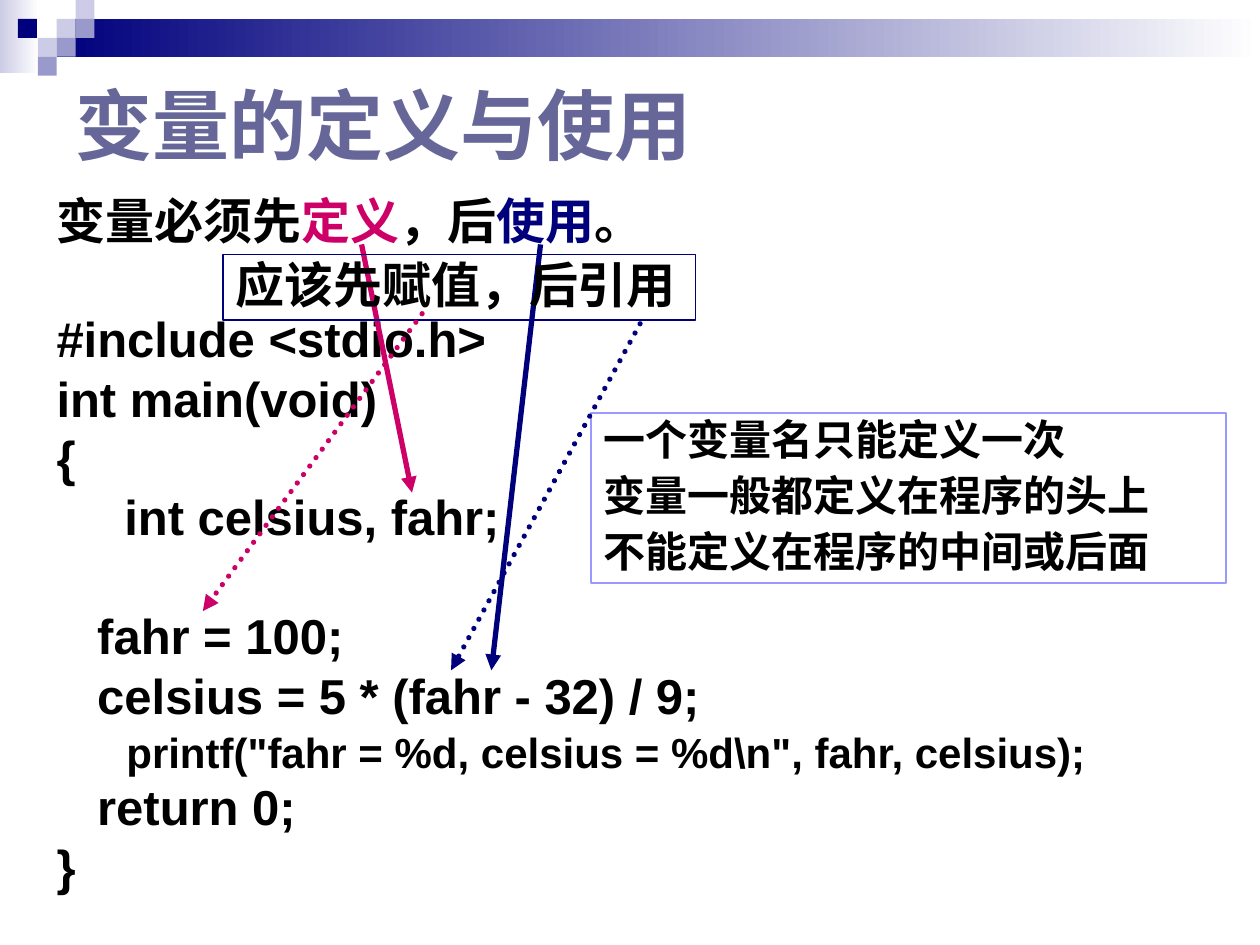
from lxml.etree import SubElement
from pptx import Presentation
from pptx.dml.color import RGBColor
from pptx.enum.dml import MSO_LINE
from pptx.enum.shapes import MSO_CONNECTOR, MSO_SHAPE
from pptx.enum.text import MSO_ANCHOR, PP_ALIGN
from pptx.oxml.ns import qn
from pptx.util import Inches, Pt

NAVY = RGBColor(0x00, 0x00, 0x7D)
PINK = RGBColor(0xCC, 0x00, 0x66)
BLACK = RGBColor(0x00, 0x00, 0x00)
WHITE = RGBColor(0xFF, 0xFF, 0xFF)
SLATE = RGBColor(0x66, 0x66, 0x99)
LILAC = RGBColor(0x99, 0x99, 0xFF)
PALE = RGBColor(0xCC, 0xCC, 0xE6)
MID = RGBColor(0x99, 0x99, 0xCC)
LATIN, CJK = "Arial", "Noto Sans CJK SC"

# Content: a line is a list of (text, size, colour) runs
TITLE = [[("变量的定义与使用", 44, SLATE)]]
RULE = [("变量必须先", 28, BLACK), ("定义", 28, PINK), ("，后", 28, BLACK),
        ("使用", 28, NAVY), ("。", 28, BLACK)]
CODE = [
    "#include <stdio.h>",
    "int main(void)",
    "{",
    "     int celsius, fahr;",
    "   fahr = 100;",
    "   celsius = 5 * (fahr - 32) / 9;",
    '      printf("fahr = %d, celsius = %d\\n", fahr, celsius);',
    "   return 0;",
    "}",
]
SECTION_STARTS = ("#include", "   fahr")
SCOPE_NOTES = ["一个变量名只能定义一次", "变量一般都定义在程序的头上", "不能定义在程序的中间或后面"]
ASSIGN_NOTE = "应该先赋值，后引用"

# Corner squares as (column, row, colour) on a grid of CELL inches
CELL = 0.15
SQUARES = [(3, 1, PALE), (4, 0, PALE), (4, 1, MID), (2, 2, PALE),
           (0.95, 1, NAVY), (3, 2, MID), (2, 3, MID)]
# Gradient bars: left, top, width, height, dark colour
BARS = [(0, 0, 0.31, 0.58, PALE), (0.45, 0.15, 9.55, 0.3, NAVY)]
# Arrows: from, to, colour
SOLID_ARROWS = [((2.87, 1.94), (3.27, 3.91), PINK), ((4.29, 1.94), (3.9, 5.32), NAVY)]
DOTTED_ARROWS = [((3.35, 2.49), (1.61, 4.85), PINK), ((5.08, 2.57), (3.58, 5.32), NAVY)]


def add_rect(s, x, y, w, h):
    sp = s.shapes.add_shape(MSO_SHAPE.RECTANGLE, Inches(x), Inches(y), Inches(w), Inches(h))
    sp.shadow.inherit = False
    sp.line.fill.background()
    return sp


def write(tf, lines, font=LATIN, spacing=1.0, before=0):
    """Fill a text frame with lines of bold runs."""
    tf.word_wrap = True
    for i, line in enumerate(lines):
        p = tf.paragraphs[0] if i == 0 else tf.add_paragraph()
        p.alignment = PP_ALIGN.LEFT
        p.line_spacing = spacing
        p.space_before = Pt(before if i else 0)
        for text, size, color in line:
            r = p.add_run()
            r.text = text
            r.font.size, r.font.bold, r.font.name = Pt(size), True, font
            r.font.color.rgb = color
            SubElement(r.font._element, qn("a:ea")).set("typeface", CJK)


def add_text(s, x, y, w, h, lines, **style):
    tf = s.shapes.add_textbox(Inches(x), Inches(y), Inches(w), Inches(h)).text_frame
    write(tf, lines, **style)
    return tf


def add_note(s, x, y, w, h, color, lines, before):
    sp = add_rect(s, x, y, w, h)
    sp.fill.background()
    sp.line.color.rgb, sp.line.width = color, Pt(1)
    sp.text_frame.vertical_anchor = MSO_ANCHOR.TOP
    write(sp.text_frame, lines, font=CJK, spacing=0.9, before=before)


def add_arrow(s, start, end, color, dotted=False):
    c = s.shapes.add_connector(MSO_CONNECTOR.STRAIGHT, *map(Inches, start + end))
    c.line.color.rgb, c.line.width = color, Pt(3)
    ln = c.line._get_or_add_ln()
    if dotted:
        c.line.dash_style = MSO_LINE.ROUND_DOT
        ln.set("cap", "rnd")
    SubElement(ln, qn("a:tailEnd")).set("type", "triangle")
    SubElement(c._element.spPr, qn("a:effectLst"))


def main():
    prs = Presentation()
    prs.slide_width, prs.slide_height = Inches(10), Inches(7.5)
    s = prs.slides.add_slide(prs.slide_layouts[6])

    # Header decoration
    for x, y, w, h, color in BARS:
        fill = add_rect(s, x, y, w, h).fill
        fill.gradient()
        fill.gradient_angle = 180
        for stop, stop_color, pos in zip(fill.gradient_stops, (WHITE, color), (0, 1)):
            stop.color.rgb, stop.position = stop_color, pos
    for col, row, color in SQUARES:
        fill = add_rect(s, col * CELL, row * CELL, CELL, CELL).fill
        fill.solid()
        fill.fore_color.rgb = color

    # Title
    tf = add_text(s, 0.5, 0.5, 6, 0.97, TITLE)
    tf.vertical_anchor = MSO_ANCHOR.MIDDLE

    # Rule and program, with one line of space before each section
    code = [[(line, 24 if "printf" in line else 28, BLACK)] for line in CODE]
    tf = add_text(s, 0.35, 1.55, 9.65, 5.75, [RULE] + code, spacing=0.8, before=7)
    for p in tf.paragraphs:
        if p.text.startswith(SECTION_STARTS):
            p.space_before = Pt(41)

    # Notes and arrows
    add_note(s, 4.69, 3.28, 5.04, 1.35, LILAC, [[(t, 24, BLACK)] for t in SCOPE_NOTES], 6)
    for arrow in SOLID_ARROWS:
        add_arrow(s, *arrow)
    add_note(s, 1.77, 2.02, 3.75, 0.52, NAVY, [[(ASSIGN_NOTE, 28, BLACK)]], 0)
    for arrow in DOTTED_ARROWS:
        add_arrow(s, *arrow, dotted=True)

    prs.save("out.pptx")


if __name__ == "__main__":
    main()
